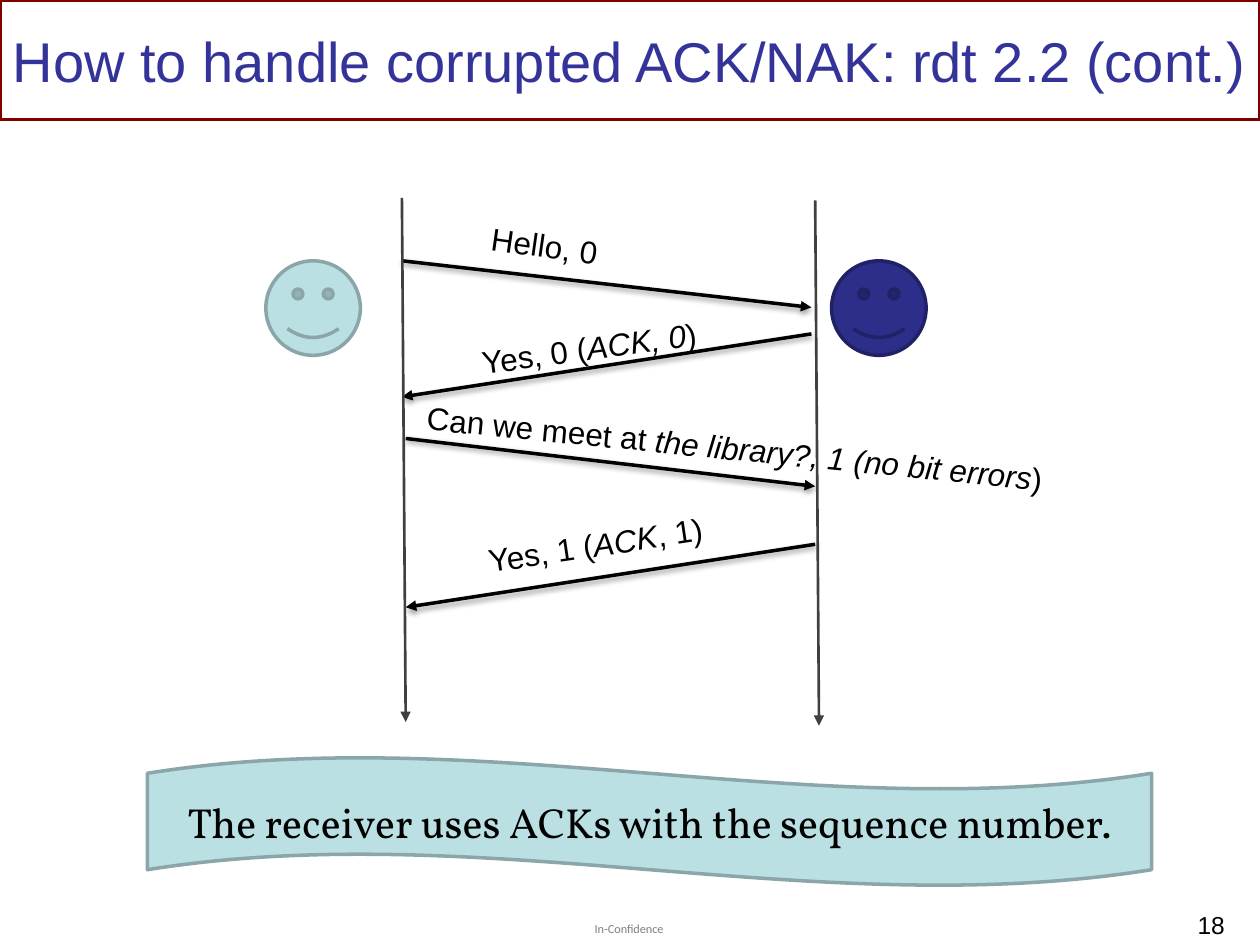
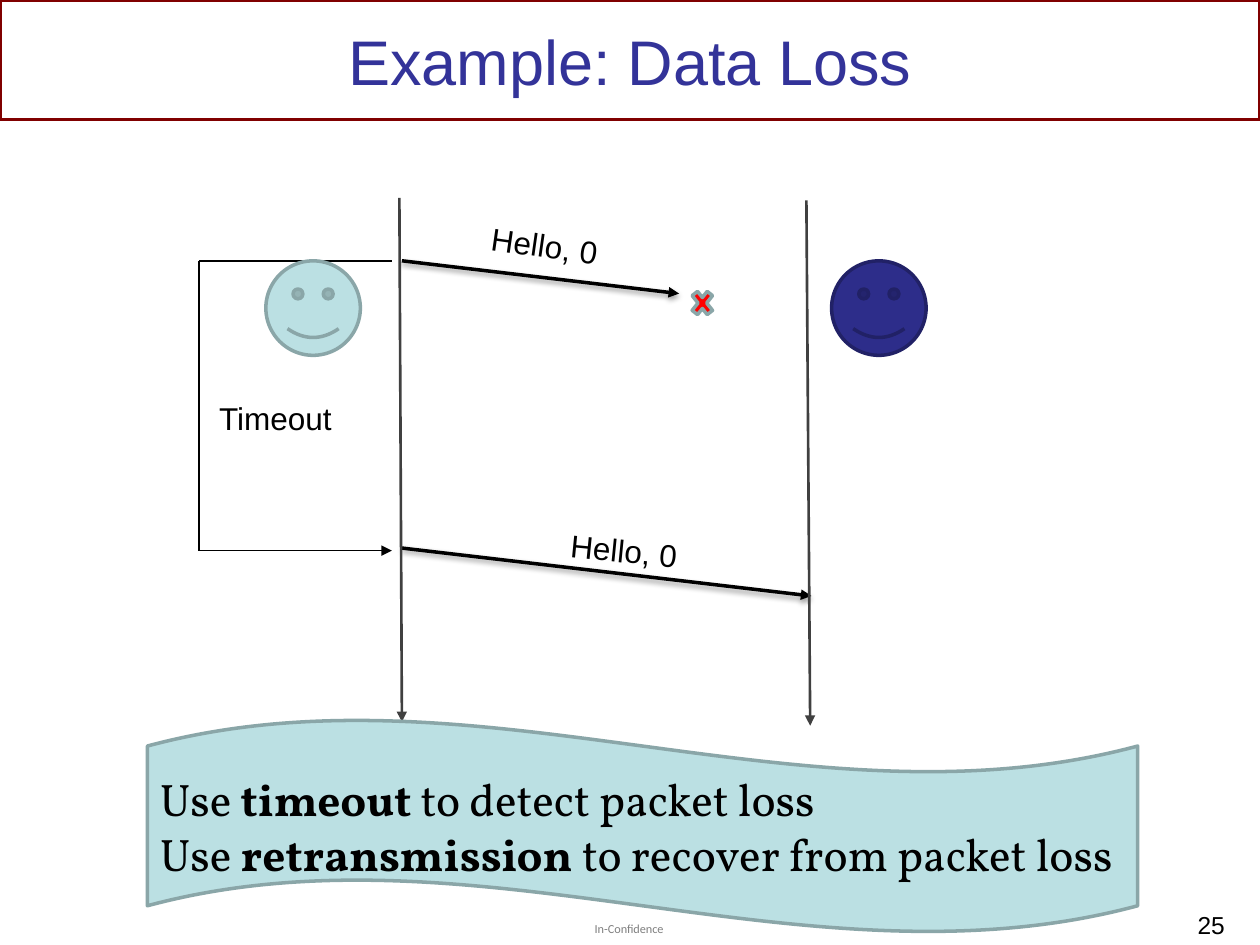
"""Build two slides with sequence diagrams of reliable data transfer."""
from lxml import etree
from pptx import Presentation
from pptx.dml.color import RGBColor
from pptx.enum import shapes, text
from pptx.oxml.ns import qn
from pptx.util import Inches, Pt

COLORS = {
    "band": "800000", "title": "333399", "ink": "000000", "footer": "7F7F7F",
    "lifeline": "404040", "pale": "BBE0E3", "pale_edge": "8AA6A8",
    "navy": "2D2D8A", "navy_edge": "212166", "loss": "FF0000",
}
COLORS = {name: RGBColor.from_string(value) for name, value in COLORS.items()}
SHAPE = shapes.MSO_SHAPE
ALIGN = text.PP_ALIGN


def write(box, paragraphs, size, font="Arial", color="ink", align=ALIGN.LEFT, wrap=True):
    """Fill a box with paragraphs made of (text, style) runs."""
    frame = box.text_frame
    frame.word_wrap = wrap
    frame.auto_size = text.MSO_AUTO_SIZE.NONE if wrap else text.MSO_AUTO_SIZE.SHAPE_TO_FIT_TEXT
    for index, runs in enumerate(paragraphs):
        para = frame.add_paragraph() if index else frame.paragraphs[0]
        para.alignment = align
        para.font.name, para.font.size = font, Pt(size)
        para.font.color.rgb = COLORS[color]
        for words, style in runs:
            span = para.add_run()
            span.text = words
            if style == "italic":
                span.font.italic = True
            elif style == "bold":
                span.font.bold = True


def draw_line(page, points, color="ink", width=2, head=True, shadow=False):
    """Draw a straight line, with an arrowhead and a soft shadow if wanted."""
    line = page.shapes.add_connector(shapes.MSO_CONNECTOR.STRAIGHT, *map(Inches, points))
    line.line.color.rgb = COLORS[color]
    line.line.width = Pt(width)
    properties = line._element.spPr
    if head:
        etree.SubElement(properties.find(qn("a:ln")), qn("a:tailEnd"), type="triangle")
    effects = etree.SubElement(properties, qn("a:effectLst"))
    if shadow:
        outer = etree.SubElement(effects, qn("a:outerShdw"), blurRad="40000", dist="20000",
                                 dir="5400000", rotWithShape="0")
        black = etree.SubElement(outer, qn("a:srgbClr"), val="000000")
        etree.SubElement(black, qn("a:alpha"), val="38000")


SLIDES = [
    {
        "title": "How to handle corrupted ACK/NAK: rdt 2.2 (cont.)",
        "title_size": 32, "title_left": 0, "number": "18",
        "messages": [(3.19, 2.07, 6.44, 2.44), (6.44, 2.65, 3.19, 3.15),
                     (3.22, 3.48, 6.47, 3.86), (6.47, 4.32, 3.22, 4.82)],
        "labels": [
            (3.8, 1.75, 1.06, 8.3, [("Hello, 0", "")]),
            (3.72, 2.56, 1.93, -7.6, [("Yes, 0 (", ""), ("ACK, 0", "italic"), (")", "")]),
            (3.28, 3.36, 5.15, 5.7, [("Can we meet at ", ""),
                                     ("the library?, 1 (no bit errors", "italic"), (")", "")]),
            (3.77, 4.12, 1.93, -8.6, [("Yes, 1 (", ""), ("ACK", "italic"), (", 1)", "")]),
        ],
        "lifelines": [(3.19, 1.57, 3.22, 5.73), (6.47, 1.59, 6.5, 5.76)],
        "wave": (1.17, 6.01, 7.97, 1.02), "wave_size": 24, "wave_align": ALIGN.CENTER,
        "summary": [[("The receiver uses ACKs with the sequence number.", "")]],
    },
    {
        "title": "Example: Data Loss",
        "title_size": 36, "title_left": 0.5, "number": "25",
        "messages": [(3.19, 2.07, 5.39, 2.33), (3.19, 4.35, 6.44, 4.73)],
        "labels": [(3.8, 1.75, 1.06, 8.3, [("Hello, 0", "")]),
                   (4.43, 4.17, 1.06, 5.7, [("Hello, 0", "")]),
                   (1.64, 3.12, 1.1, 0, [("Timeout", "")])],
        "lifelines": [(3.17, 1.57, 3.19, 5.73), (6.4, 1.59, 6.43, 5.76)],
        "wave": (1.17, 5.71, 7.86, 1.69), "wave_size": 26, "wave_align": ALIGN.LEFT,
        "summary": [
            [("Use ", ""), ("timeout", "bold"), (" to detect packet loss", "")],
            [("Use ", ""), ("retransmission", "bold"), (" to recover from packet loss", "")],
        ],
        "loss": (5.46, 2.26, 0.23, 0.29),
        "timeout": [(3.11, 2.07, 1.58, 2.07), (1.58, 2.07, 1.58, 4.37), (1.58, 4.37, 3.11, 4.37)],
    },
]

deck = Presentation()
deck.slide_width, deck.slide_height = Inches(10), Inches(7.5)

for content in SLIDES:
    page = deck.slides.add_slide(deck.slide_layouts[5])

    title = page.shapes.title
    left = content["title_left"]
    title.left, title.top = Inches(left), Inches(0.08)
    title.width, title.height = Inches(10 - 2 * left), Inches(0.79)
    title.text_frame.vertical_anchor = text.MSO_ANCHOR.MIDDLE
    write(title, [[(content["title"], "")]], content["title_size"], color="title",
          align=ALIGN.CENTER)

    footer = page.shapes.add_textbox(*map(Inches, (4.72, 7.31, 0.57, 0.12)))
    frame = footer.text_frame
    frame.margin_left = frame.margin_right = frame.margin_top = frame.margin_bottom = 0
    write(footer, [[("In-Confidence", "")]], 7, "Calibri", "footer", wrap=False)

    number = page.shapes.add_textbox(*map(Inches, (7.62, 7.17, 2.2, 0.3)))
    write(number, [[(content["number"], "")]], 14, align=ALIGN.RIGHT)

    for points in content["messages"]:
        draw_line(page, points, shadow=True)
    for left, top, width, angle, runs in content["labels"]:
        label = page.shapes.add_textbox(*map(Inches, (left, top, width, 0.4)))
        label.rotation = angle
        write(label, [runs], 18, wrap=False)
    for points in content["lifelines"]:
        draw_line(page, points, "lifeline", 1.5)
    for index, points in enumerate(content.get("timeout", [])):
        draw_line(page, points, width=1, head=index == 2)

    figures = [
        (SHAPE.RECTANGLE, (0, 0, 10, 0.95), None, "band"),
        (SHAPE.SMILEY_FACE, (2.11, 2.07, 0.75, 0.75), "pale", "pale_edge"),
        (SHAPE.SMILEY_FACE, (6.6, 2.07, 0.75, 0.75), "navy", "navy_edge"),
    ]
    if "loss" in content:
        figures.append((SHAPE.MATH_MULTIPLY, content["loss"], "loss", "pale_edge"))
    figures.append((SHAPE.WAVE, content["wave"], "pale", "pale_edge"))
    for kind, place, fill, edge in figures:
        figure = page.shapes.add_shape(kind, *map(Inches, place))
        figure.shadow.inherit = False
        figure.line.color.rgb = COLORS[edge]
        figure.line.width = Pt(2)
        if fill:
            figure.fill.solid()
            figure.fill.fore_color.rgb = COLORS[fill]
        else:
            figure.fill.background()
        if kind == SHAPE.WAVE:
            figure.text_frame.vertical_anchor = text.MSO_ANCHOR.MIDDLE
            write(figure, content["summary"], content["wave_size"], "Vollkorn",
                  align=content["wave_align"])

deck.save("out.pptx")
